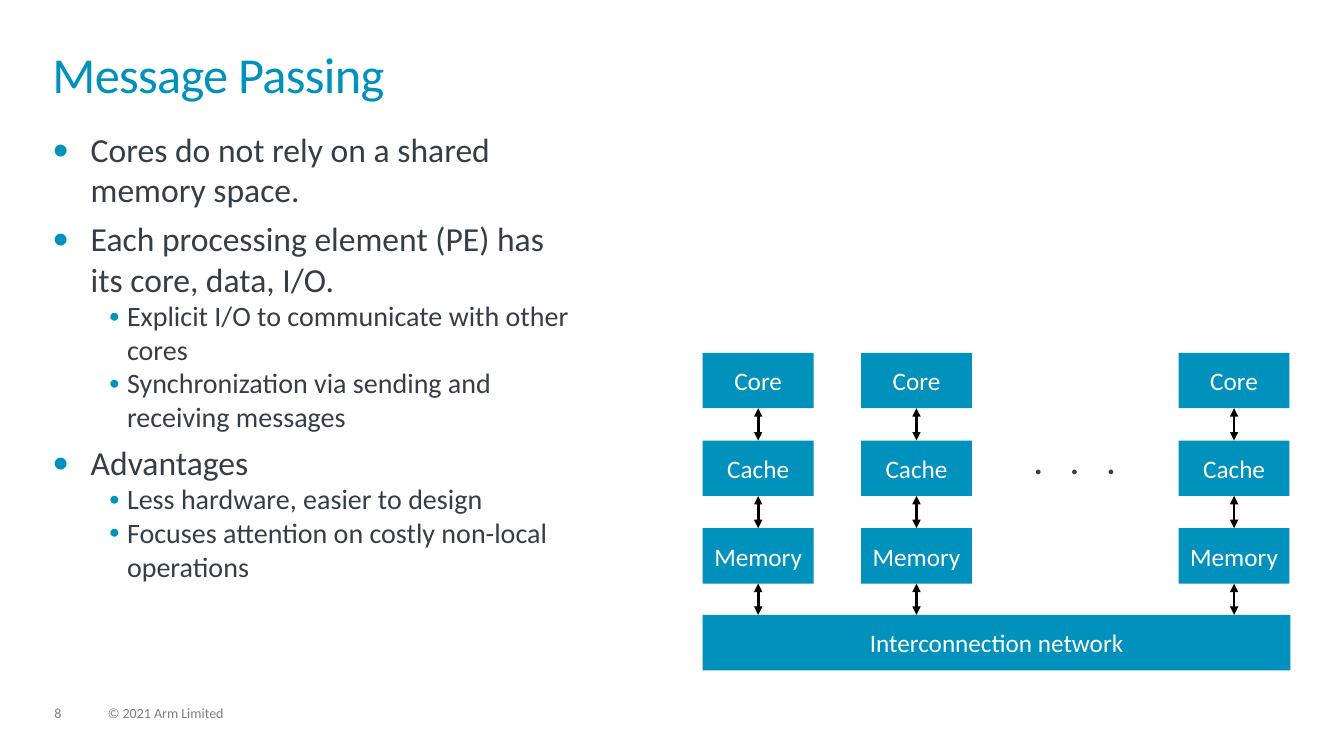
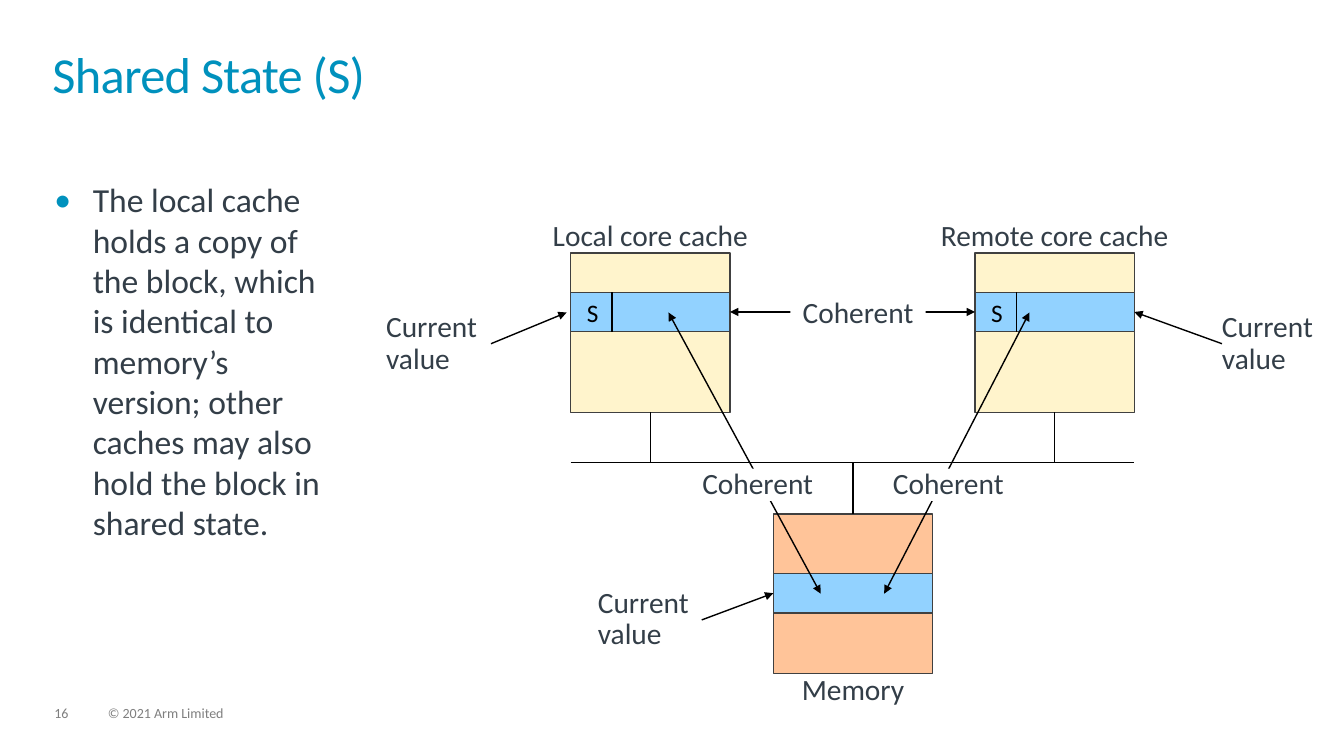
from dataclasses import dataclass

from lxml.etree import SubElement
from pptx import Presentation
from pptx.dml.color import RGBColor
from pptx.enum.shapes import MSO_CONNECTOR, MSO_SHAPE
from pptx.enum.text import MSO_ANCHOR, PP_ALIGN
from pptx.oxml.ns import qn
from pptx.util import Pt

PX = 9144


@dataclass(frozen=True)
class Theme:
    font: str = "Calibri"
    blue: str = "0091BD"
    ink: str = "333E48"
    grey: str = "7F7F7F"
    white: str = "FFFFFF"
    black: str = "000000"
    outline: str = "404040"
    cache: str = "FFF4CC"
    block: str = "92D2FF"
    memory: str = "FFC499"
    title_size: int = 36
    body_size: int = 24
    sub_size: int = 20
    label_size: int = 21
    node_size: int = 18
    dots_size: int = 28
    footer_size: int = 10


T = Theme()


def box(s, x, y, w, h, text="", size=T.label_size, color=T.ink, fill=None, line=None,
        align=PP_ALIGN.LEFT, anchor=MSO_ANCHOR.TOP, left=0, spacing=0.9, wrap=True, track=0):
    frame = [v * PX for v in (x, y, w, h)]
    if fill:
        sp = s.shapes.add_shape(MSO_SHAPE.RECTANGLE, *frame)
        sp.shadow.inherit = False
        sp.fill.solid()
        sp.fill.fore_color.rgb = RGBColor.from_string(fill)
        if line:
            sp.line.color.rgb = RGBColor.from_string(line)
            sp.line.width = Pt(1)
        else:
            sp.line.fill.background()
    else:
        sp = s.shapes.add_textbox(*frame)
    tf = sp.text_frame
    tf.margin_left = left * PX
    tf.margin_top = tf.margin_right = tf.margin_bottom = 0
    tf.word_wrap = wrap
    tf.vertical_anchor = anchor
    tf.text = text
    for p in tf.paragraphs:
        p.alignment = align
        p.line_spacing = spacing
        for r in p.runs:
            r.font.name = T.font
            r.font.size = Pt(size)
            r.font.color.rgb = RGBColor.from_string(color)
            if track:
                r.font._element.set("spc", str(track))
    return sp


def link(s, x1, y1, x2, y2, width=1, head=False, tail=False, start=None, end=None):
    c = s.shapes.add_connector(MSO_CONNECTOR.STRAIGHT, x1 * PX, y1 * PX, x2 * PX, y2 * PX)
    if start:
        c.begin_connect(*start)
    if end:
        c.end_connect(*end)
    c.line.color.rgb = RGBColor.from_string(T.black)
    c.line.width = Pt(width)
    ln = c.line._get_or_add_ln()
    for tag, shown in (("a:headEnd", head), ("a:tailEnd", tail)):
        if shown:
            SubElement(ln, qn(tag), type="triangle")
    SubElement(c._element.spPr, qn("a:effectLst"))


prs = Presentation()
prs.slide_width, prs.slide_height = 1333 * PX, 750 * PX

pages = (
    ("8", "Message Passing", (52, 128, 516, 541), (
        (0, "Cores do not rely on a shared memory space."),
        (0, "Each processing element (PE) has its core, data, I/O."),
        (1, "Explicit I/O to communicate with other cores"),
        (1, "Synchronization via sending and receiving messages"),
        (0, "Advantages"),
        (1, "Less hardware, easier to design"),
        (1, "Focuses attention on costly non-local operations"),
    )),
    ("16", "Shared State (S)", (54, 178, 285, 447), (
        (0, "The local cache holds a copy of the block, which is identical to memory’s version; "
            "other caches may also hold the block in shared state."),
    )),
)
slides = []
for number, title, area, bullets in pages:
    s = prs.slides.add_slide(prs.slide_layouts[6])
    slides.append(s)
    box(s, 54, 701, 34, 15, number, T.footer_size, T.grey)
    box(s, 107, 701, 507, 15, "© 2021 Arm Limited", T.footer_size, T.grey)
    box(s, 52, 52, 1228, 72, title, T.title_size, T.blue, spacing=0.85, track=-50)
    body = box(s, *area, "\n".join(text for _, text in bullets), T.body_size, spacing=1.0)
    for i, (p, (level, _)) in enumerate(zip(body.text_frame.paragraphs, bullets)):
        p.level = level
        p.space_before = Pt(6 if i and not level else 0)
        margin, hang = ((38, 38), (74, 18))[level]
        pPr = p._p.get_or_add_pPr()
        pPr.set("marL", str(margin * PX))
        pPr.set("indent", str(-hang * PX))
        SubElement(SubElement(pPr, qn("a:buClr")), qn("a:srgbClr"), val=T.blue)
        if level:
            SubElement(pPr, qn("a:buSzPct"), val="80000")
            p.runs[0].font.size = Pt(T.sub_size)
        SubElement(pPr, qn("a:buFont"), typeface=T.font)
        SubElement(pPr, qn("a:buChar"), char="•")

s = slides[0]
node = dict(size=T.node_size, color=T.white, fill=T.blue, align=PP_ALIGN.CENTER,
            anchor=MSO_ANCHOR.MIDDLE, spacing=1.0)
top, pitch, node_w, node_h, network_y = 350, 87, 110, 55, 610
box(s, 697, network_y, 583, node_h, "Interconnection network", **node)
for x in (697, 854, 1169):
    mid = x + node_w // 2
    above = None
    for row, name in enumerate(("Core", "Cache", "Memory")):
        y = top + row * pitch
        sp = box(s, x, y, node_w, node_h, name, **node)
        if above:
            link(s, mid, y - pitch + node_h, mid, y, 2, True, True, (above, 2), (sp, 0))
        above = sp
    link(s, mid, y + node_h, mid, network_y, 2, True, True, (above, 2))
box(s, 1025, 437, 84, 42, ". . .", T.dots_size, wrap=False, track=630)

s = slides[1]
side, block_h, bus_y, overhang = 158, 39, 459, 40
half = side // 2
label = dict(align=PP_ALIGN.CENTER, wrap=False)
link(s, 566, bus_y, 1125, bus_y)
blocks = []
for x, name in ((566, "Local core cache"), (967, "Remote core cache")):
    cache = box(s, x, 251, side, side, fill=T.cache, line=T.outline)
    blocks.append(box(s, x, 290, side, block_h, "S", T.node_size, T.black, T.block, T.outline,
                      anchor=MSO_ANCHOR.MIDDLE, left=16, spacing=1.0))
    link(s, x + 41, 290, x + 41, 290 + block_h)
    link(s, x + half, 251 + side, x + half, bus_y, start=(cache, 2))
    box(s, x - overhang, 219, side + 2 * overhang, 32, name, **label)
memory = box(s, 767, 510, side, side, fill=T.memory, line=T.outline)
memory_block = box(s, 767, 569, side, block_h, fill=T.block, line=T.outline)
link(s, 767 + half, bus_y, 767 + half, 510, end=(memory, 0))
box(s, 767, 670, side, 32, "Memory", **label)

local, remote = blocks
link(s, 663, 310, 814, 589, head=True, tail=True)
link(s, 1021, 310, 877, 589, head=True, tail=True)
link(s, 724, 310, 967, 310, head=True, tail=True, start=(local, 3), end=(remote, 1))
for x, y, w in ((696, 465, 111), (885, 465, 111), (784, 296, 134)):
    box(s, x, y, w, 32, "Coherent", fill=T.white, **label)

for x, y, arrow, end in (
    (383, 310, (487, 341, 562, 310), None),
    (593, 583, (696, 615, 767, 589), (memory_block, 1)),
    (1212, 310, (1212, 341, 1125, 310), (remote, 3)),
):
    box(s, x, y, 103, 64, "Current value")
    link(s, *arrow, tail=True, end=end)

prs.save("out.pptx")
